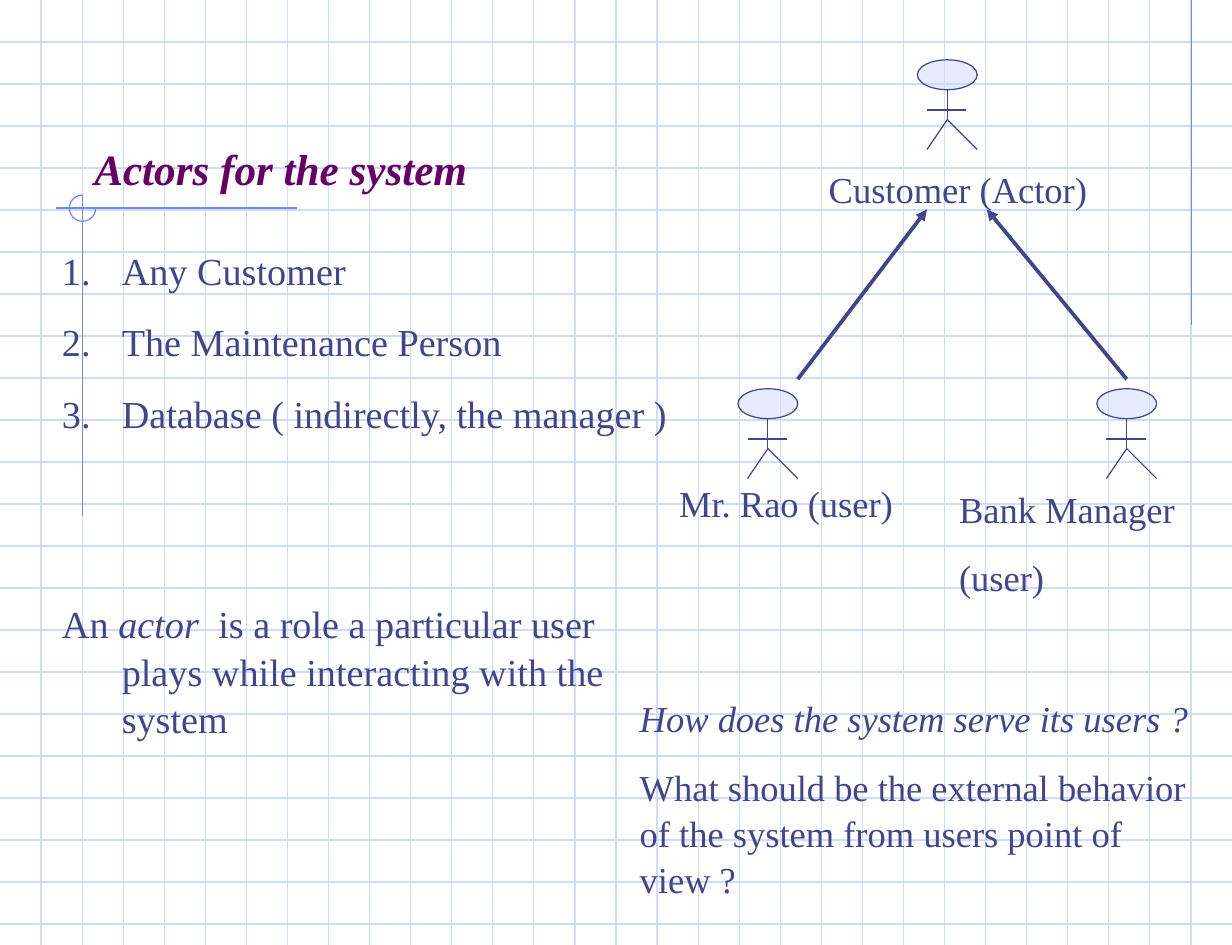
from lxml import etree
from pptx import Presentation
from pptx import util as u
from pptx.dml.color import RGBColor
from pptx.enum import shapes, text
from pptx.oxml.ns import qn

PX = 9144  # EMU per px, 100 px to the inch
W, H = 1030, 790
GRID, RULE, INK, TITLE = "CFDBFD", "6F89F7", "40458C", "660066"


def color(value):
    return RGBColor.from_string(value)


def emu(px):
    return u.Emu(round(px * PX))


class Sheet:
    """A slide with one font and one ink colour."""

    font = "Times New Roman"

    def __init__(self, prs):
        self.s = prs.slides.add_slide(prs.slide_layouts[6])

    def line(self, x1, y1, x2, y2, ink=INK, width=0.75, arrow=False):
        c = self.s.shapes.add_connector(
            shapes.MSO_CONNECTOR.STRAIGHT, emu(x1), emu(y1), emu(x2), emu(y2))
        c.line.color.rgb = color(ink)
        c.line.width = u.Pt(width)
        if arrow:
            etree.SubElement(c.line._get_or_add_ln(), qn("a:tailEnd"), type="triangle")
        etree.SubElement(c._element.spPr, qn("a:effectLst"))

    def shape(self, kind, x, y, w, h, ink=INK, fill=None, alpha=100):
        sp = self.s.shapes.add_shape(kind, emu(x), emu(y), emu(w), emu(h))
        sp.shadow.inherit = False
        sp.line.color.rgb = color(ink)
        sp.line.width = u.Pt(0.75)
        if fill:
            sp.fill.solid()
            sp.fill.fore_color.rgb = color(fill)
            rgb = sp._element.spPr.find(qn("a:solidFill")).find(qn("a:srgbClr"))
            etree.SubElement(rgb, qn("a:alpha"), val=str(alpha * 1000))
        else:
            sp.fill.background()
        return sp

    def actor(self, cx, y):
        """Stick figure: head, legs, arms and body."""
        self.shape(shapes.MSO_SHAPE.FLOWCHART_CONNECTOR, cx - 25, y, 50, 25,
                   fill=GRID, alpha=50)
        for x1, y1, x2, y2 in [(0, 50, -17, 75), (0, 50, 25, 75),
                               (-17, 42, 16, 42), (0, 25, 0, 50)]:
            self.line(cx + x1, y + y1, cx + x2, y + y2)

    def text(self, paragraphs, x, y, w, h, size=22, ink=INK, bold=False,
             spacing=1.05, gaps=(0, 13.8), hang=0, numbered=0, bottom=False):
        """Each paragraph is a list of (words, italic) runs."""
        tf = self.s.shapes.add_textbox(emu(x), emu(y), emu(w), emu(h)).text_frame
        tf.word_wrap = True
        if bottom:
            tf.vertical_anchor = text.MSO_ANCHOR.BOTTOM
        for i, runs in enumerate(paragraphs):
            p = tf.add_paragraph() if i else tf.paragraphs[0]
            p.line_spacing = spacing
            p.space_before = u.Pt(gaps[i])
            pPr = p._p.get_or_add_pPr()
            if hang:
                pPr.set("marL", str(emu(hang)))
                pPr.set("indent", str(-emu(hang)))
            if i < numbered:
                etree.SubElement(pPr, qn("a:buAutoNum"), type="arabicPeriod")
            for words, italic in runs:
                r = p.add_run()
                r.text = words
                r.font.name, r.font.size = self.font, u.Pt(size)
                r.font.bold, r.font.italic = bold, italic
                r.font.color.rgb = color(ink)


def main():
    prs = Presentation()
    prs.slide_width, prs.slide_height = emu(W), emu(H)
    s = Sheet(prs)

    # Graph paper
    row, col = H / 22.5, W / 30
    for i in range(1, 23):
        s.line(0, i * row, W, i * row, GRID)
    for i in range(1, 30):
        s.line(i * col, 0, i * col, H, GRID)

    # Margin rules and the open circle where they cross
    s.line(996, 0, 996, 272, RULE)
    s.line(248, 174, 47, 174, RULE)
    s.line(69, 163, 69, 431, RULE)
    arc = s.shape(shapes.MSO_SHAPE.ARC, 58, 163, 22, 22, RULE)
    arc.adjustments[0] = 0
    arc.adjustments[1] = 270 * 0.6  # degrees in units of 100000/60000

    # Title, numbered actors and definition
    s.text([[("Actors for the system", True)]], 69, 117, 340, 50,
           size=26, ink=TITLE, bold=True, spacing=1, bottom=True)
    s.text([[("Any Customer", False)],
            [("The Maintenance Person", False)],
            [("Database ( indirectly, the manager )", False)],
            [("An ", False), ("actor ", True),
             (" is a role a particular user plays while interacting with the system",
              False)]],
           42, 200, 533, 417, size=23, spacing=1.04,
           gaps=(0, 14.4, 14.4, 98), hang=50, numbered=3)

    # Actor diagram
    for cx, y in [(792, 50), (642, 325), (942, 325)]:
        s.actor(cx, y)
    s.text([[("Customer (Actor)", False)]], 683, 133, 242, 47)
    s.line(667, 317, 775, 175, width=2.25, arrow=True)
    s.line(942, 317, 825, 175, width=2.25, arrow=True)
    s.text([[("Mr. Rao (user)", False)]], 558, 395, 217, 47)
    s.text([[("Bank Manager", False)], [("(user)", False)]], 792, 400, 217, 103)

    # Questions
    s.text([[("How does the system serve its users ?", True)],
            [("What should be the external behavior of the system "
              "from users point of view ?", False)]], 525, 575, 505, 176)

    prs.save("out.pptx")


if __name__ == "__main__":
    main()
